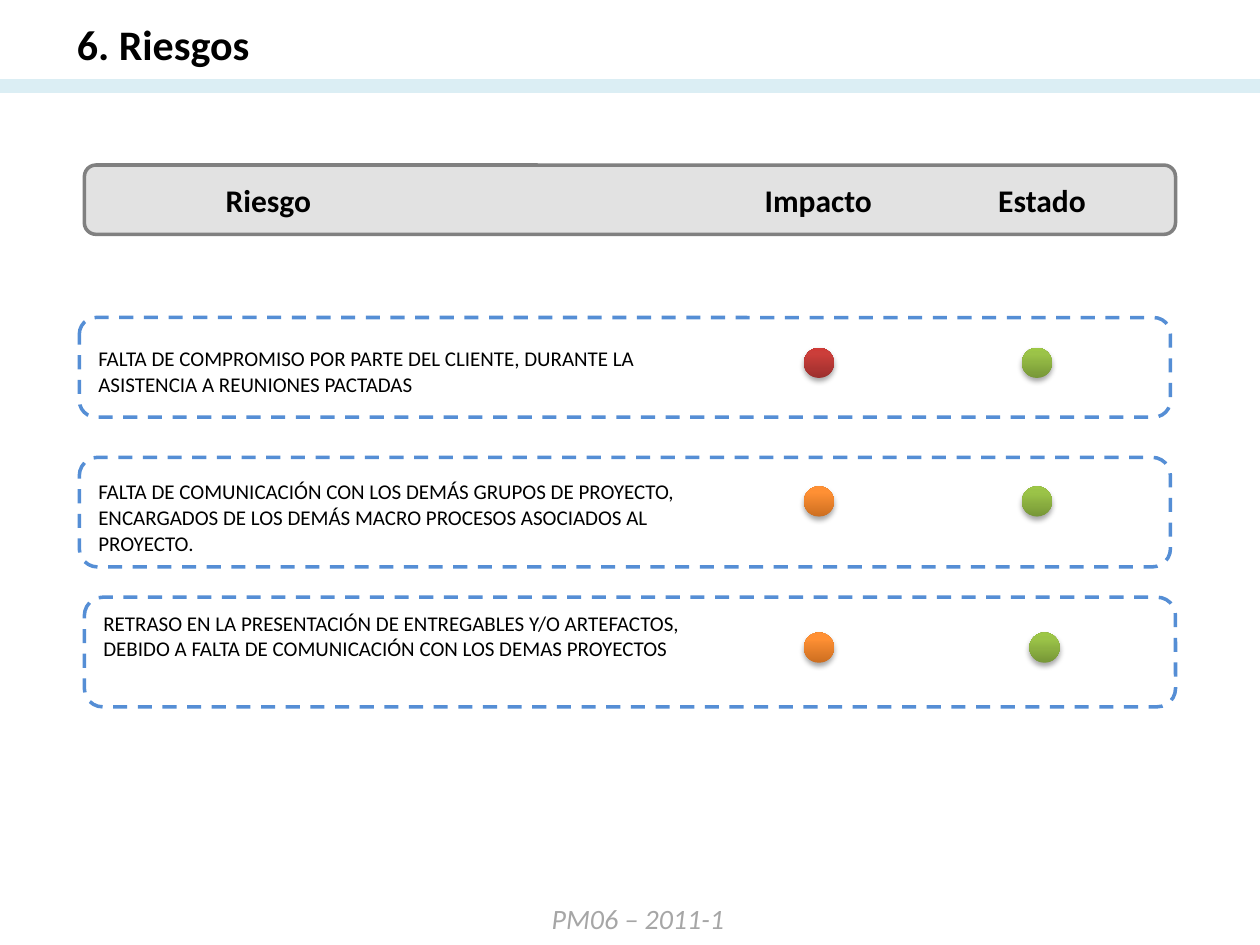
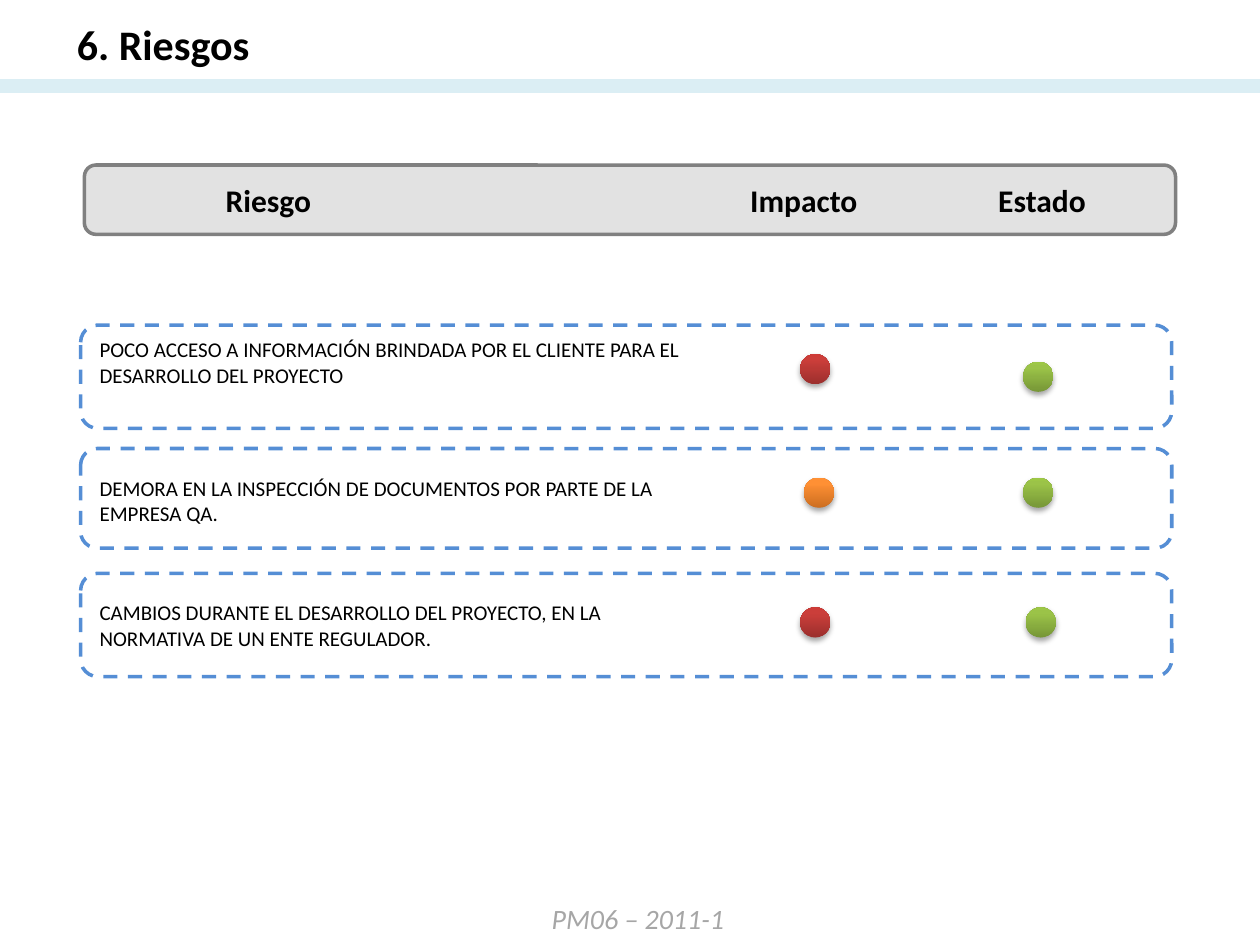
from dataclasses import dataclass

import pptx
import pptx.dml.color
import pptx.enum.dml
import pptx.enum.shapes
import pptx.enum.text
import pptx.oxml
import pptx.oxml.ns
import pptx.presentation
import pptx.shapes.autoshape
import pptx.slide
import pptx.table
import pptx.text.text
import pptx.util

Inches = pptx.util.Inches
Pt = pptx.util.Pt
RGBColor = pptx.dml.color.RGBColor
Align = pptx.enum.text.PP_ALIGN
AutoSize = pptx.enum.text.MSO_AUTO_SIZE
ShapeType = pptx.enum.shapes.MSO_SHAPE

FONT = "Calibri"
BLACK = RGBColor(0x00, 0x00, 0x00)
WHITE = RGBColor(0xFF, 0xFF, 0xFF)
FOOTER_GRAY = RGBColor(0xA6, 0xA6, 0xA6)
HEADER_FILL = RGBColor(0xBF, 0xBF, 0xBF)
HEADER_LINE = RGBColor(0x80, 0x80, 0x80)
BAND_BLUE = RGBColor(0xDB, 0xEE, 0xF4)
FRAME_BLUE = RGBColor(0x55, 0x8E, 0xD5)

# Gradient colours from the bottom of a light to its top, at these positions
STOP_POSITIONS = (0, 80, 100)
GREEN = (RGBColor(0x77, 0x97, 0x37), RGBColor(0x9B, 0xC3, 0x48), RGBColor(0x9D, 0xC7, 0x46))
RED = (RGBColor(0x9C, 0x2F, 0x2D), RGBColor(0xCB, 0x3E, 0x3A), RGBColor(0xCE, 0x3B, 0x37))
ORANGE = (RGBColor(0xCC, 0x6E, 0x20), RGBColor(0xFF, 0x90, 0x34), RGBColor(0xFF, 0x91, 0x36))

FRAME_WIDTH = 8.66
LIGHT_SIZE = 0.24
COLUMN_WIDTHS = (4.98, 1.55, 1.97)
BORDER_WIDTHS = {"lnL": 1, "lnR": 1, "lnT": 1, "lnB": 3}
NAMESPACE = pptx.oxml.ns.nsdecls("a")


@dataclass(frozen=True)
class Light:
    left: float
    top: float
    colors: tuple[RGBColor, RGBColor, RGBColor]


@dataclass(frozen=True)
class Risk:
    text: str
    left: float
    frame_top: float
    frame_height: float
    table_top: float
    impact: Light
    status: Light
    row_height: float = 0.7


@dataclass(frozen=True)
class RiskSlide:
    impact_heading_width: float
    risks: tuple[Risk, ...]


RISK_SLIDES = (
    RiskSlide(1.73, (
        Risk("FALTA DE COMPROMISO POR PARTE DEL CLIENTE, DURANTE LA ASISTENCIA A REUNIONES PACTADAS",
             0.63, 2.52, 0.79, 2.6, Light(6.38, 2.76, RED), Light(8.11, 2.76, GREEN)),
        Risk("FALTA DE COMUNICACIÓN CON LOS DEMÁS GRUPOS DE PROYECTO, ENCARGADOS DE LOS DEMÁS "
             "MACRO PROCESOS ASOCIADOS AL PROYECTO.",
             0.63, 3.63, 0.87, 3.66, Light(6.38, 3.86, ORANGE), Light(8.11, 3.86, GREEN), 1.07),
        Risk("RETRASO EN LA PRESENTACIÓN DE ENTREGABLES Y/O ARTEFACTOS, DEBIDO A FALTA DE "
             "COMUNICACIÓN CON LOS DEMAS PROYECTOS",
             0.67, 4.74, 0.87, 4.7, Light(6.38, 5.02, ORANGE), Light(8.17, 5.02, GREEN)),
    )),
    RiskSlide(1.5, (
        Risk("POCO ACCESO A INFORMACIÓN BRINDADA POR EL CLIENTE PARA EL DESARROLLO DEL PROYECTO",
             0.64, 2.58, 0.82, 2.53, Light(6.35, 2.81, RED), Light(8.12, 2.87, GREEN)),
        Risk("DEMORA EN LA INSPECCIÓN DE DOCUMENTOS POR PARTE DE LA EMPRESA QA.",
             0.64, 3.56, 0.79, 3.63, Light(6.38, 3.79, ORANGE), Light(8.12, 3.79, GREEN)),
        Risk("CAMBIOS DURANTE EL DESARROLLO DEL PROYECTO, EN LA NORMATIVA DE UN ENTE REGULADOR.",
             0.64, 4.55, 0.82, 4.62, Light(6.35, 4.82, RED), Light(8.14, 4.82, GREEN)),
    )),
)


def write_text(frame: pptx.text.text.TextFrame, text: str, *, size: float,
               color: RGBColor = BLACK, bold: bool = False, italic: bool = False,
               align: Align = Align.LEFT, wrap: bool = True) -> None:
    frame.word_wrap = wrap
    paragraph = frame.paragraphs[0]
    paragraph.alignment = align
    run = paragraph.add_run()
    run.text = text
    run.font.name = FONT
    run.font.size = Pt(size)
    run.font.bold = bold
    run.font.italic = italic
    run.font.color.rgb = color


def add_text(slide: pptx.slide.Slide, text: str, left: float, top: float,
             width: float, height: float, **text_format) -> None:
    box = slide.shapes.add_textbox(Inches(left), Inches(top), Inches(width), Inches(height))
    write_text(box.text_frame, text, **text_format)
    box.text_frame.auto_size = AutoSize.SHAPE_TO_FIT_TEXT


def add_outlined_shape(slide: pptx.slide.Slide, left: float, top: float, height: float,
                       line_color: RGBColor) -> pptx.shapes.autoshape.Shape:
    """Add an unfilled rounded rectangle as wide as the risk list."""
    shape = slide.shapes.add_shape(ShapeType.ROUNDED_RECTANGLE, Inches(left), Inches(top),
                                   Inches(FRAME_WIDTH), Inches(height))
    shape.shadow.inherit = False
    shape.fill.background()
    shape.line.color.rgb = line_color
    shape.line.width = Pt(2)
    return shape


def add_light(slide: pptx.slide.Slide, light: Light) -> None:
    shape = slide.shapes.add_shape(ShapeType.OVAL, Inches(light.left), Inches(light.top),
                                   Inches(LIGHT_SIZE), Inches(LIGHT_SIZE))
    shape.line.fill.background()
    stops = "".join(
        f'<a:gs pos="{position * 1000}"><a:srgbClr val="{color}"/></a:gs>'
        for position, color in zip(STOP_POSITIONS, light.colors))
    properties = shape.element.spPr
    properties.insert(2, pptx.oxml.parse_xml(
        f'<a:gradFill {NAMESPACE} rotWithShape="1"><a:gsLst>{stops}</a:gsLst>'
        '<a:lin ang="16200000" scaled="0"/></a:gradFill>'))
    properties.append(pptx.oxml.parse_xml(
        f'<a:effectLst {NAMESPACE}><a:outerShdw blurRad="{Pt(3.1)}" dist="{Pt(1.8)}" '
        'dir="5400000" rotWithShape="0"><a:srgbClr val="000000"><a:alpha val="35000"/>'
        '</a:srgbClr></a:outerShdw></a:effectLst>'))


def format_cell(cell: pptx.table._Cell) -> None:
    cell.fill.background()
    cell.margin_left = cell.margin_right = Inches(0.15)
    cell.margin_top = cell.margin_bottom = Inches(0.15)
    properties = cell._tc.get_or_add_tcPr()
    for index, (side, width) in enumerate(BORDER_WIDTHS.items()):
        properties.insert(index, pptx.oxml.parse_xml(
            f'<a:{side} {NAMESPACE} w="{Pt(width)}"><a:solidFill>'
            f'<a:srgbClr val="{WHITE}"/></a:solidFill></a:{side}>'))


def add_risk(slide: pptx.slide.Slide, risk: Risk) -> None:
    table = slide.shapes.add_table(
        1, len(COLUMN_WIDTHS), Inches(risk.left), Inches(risk.table_top),
        Inches(sum(COLUMN_WIDTHS)), Inches(risk.row_height)).table
    table.first_row = False
    table.horz_banding = False
    for column, width in zip(table.columns, COLUMN_WIDTHS):
        column.width = Inches(width)
    for cell in table.iter_cells():
        format_cell(cell)
    write_text(table.cell(0, 0).text_frame, risk.text, size=12)

    frame = add_outlined_shape(slide, risk.left, risk.frame_top, risk.frame_height, FRAME_BLUE)
    frame.line.dash_style = pptx.enum.dml.MSO_LINE.DASH
    add_light(slide, risk.impact)
    add_light(slide, risk.status)


def add_title_and_footer(slide: pptx.slide.Slide) -> None:
    band = slide.shapes.add_connector(pptx.enum.shapes.MSO_CONNECTOR.STRAIGHT,
                                      Inches(0), Inches(0.68), Inches(10), Inches(0.68))
    band.line.color.rgb = BAND_BLUE
    band.line.width = Pt(8)
    band.element.spPr.append(pptx.oxml.parse_xml(f"<a:effectLst {NAMESPACE}/>"))

    title = slide.shapes.title
    title.left, title.top = Inches(0.51), Inches(0.1)
    title.width, title.height = Inches(5.04), Inches(0.5)
    title.text_frame.vertical_anchor = pptx.enum.text.MSO_ANCHOR.TOP
    title.text_frame.auto_size = AutoSize.SHAPE_TO_FIT_TEXT
    write_text(title.text_frame, "6. Riesgos", size=24, bold=True)
    add_text(slide, "PM06 – 2011-1", 4.28, 7.11, 1.59, 0.37,
             size=16, color=FOOTER_GRAY, italic=True, wrap=False)


def add_column_headings(slide: pptx.slide.Slide, impact_width: float) -> None:
    header = add_outlined_shape(slide, 0.67, 1.31, 0.55, HEADER_LINE)
    header.fill.solid()
    header.fill.fore_color.rgb = HEADER_FILL
    fill_color = header.element.spPr.find(pptx.oxml.ns.qn("a:solidFill"))[0]
    fill_color.append(pptx.oxml.parse_xml(f'<a:alpha {NAMESPACE} val="45000"/>'))
    headings = (("Riesgo", 1.38, 1.5), ("Impacto", 5.63, impact_width), ("Estado", 7.68, 1.18))
    for text, left, width in headings:
        add_text(slide, text, left, 1.39, width, 0.4, size=18, bold=True, align=Align.CENTER)


def add_risk_slide(presentation: pptx.presentation.Presentation, content: RiskSlide) -> None:
    title_only = presentation.slide_layouts[5]
    slide = presentation.slides.add_slide(title_only)
    add_title_and_footer(slide)
    add_column_headings(slide, content.impact_heading_width)
    for risk in content.risks:
        add_risk(slide, risk)


def main() -> None:
    presentation = pptx.Presentation()
    presentation.slide_width = Inches(10)
    presentation.slide_height = Inches(7.5)
    for content in RISK_SLIDES:
        add_risk_slide(presentation, content)
    presentation.save("out.pptx")


if __name__ == "__main__":
    main()
